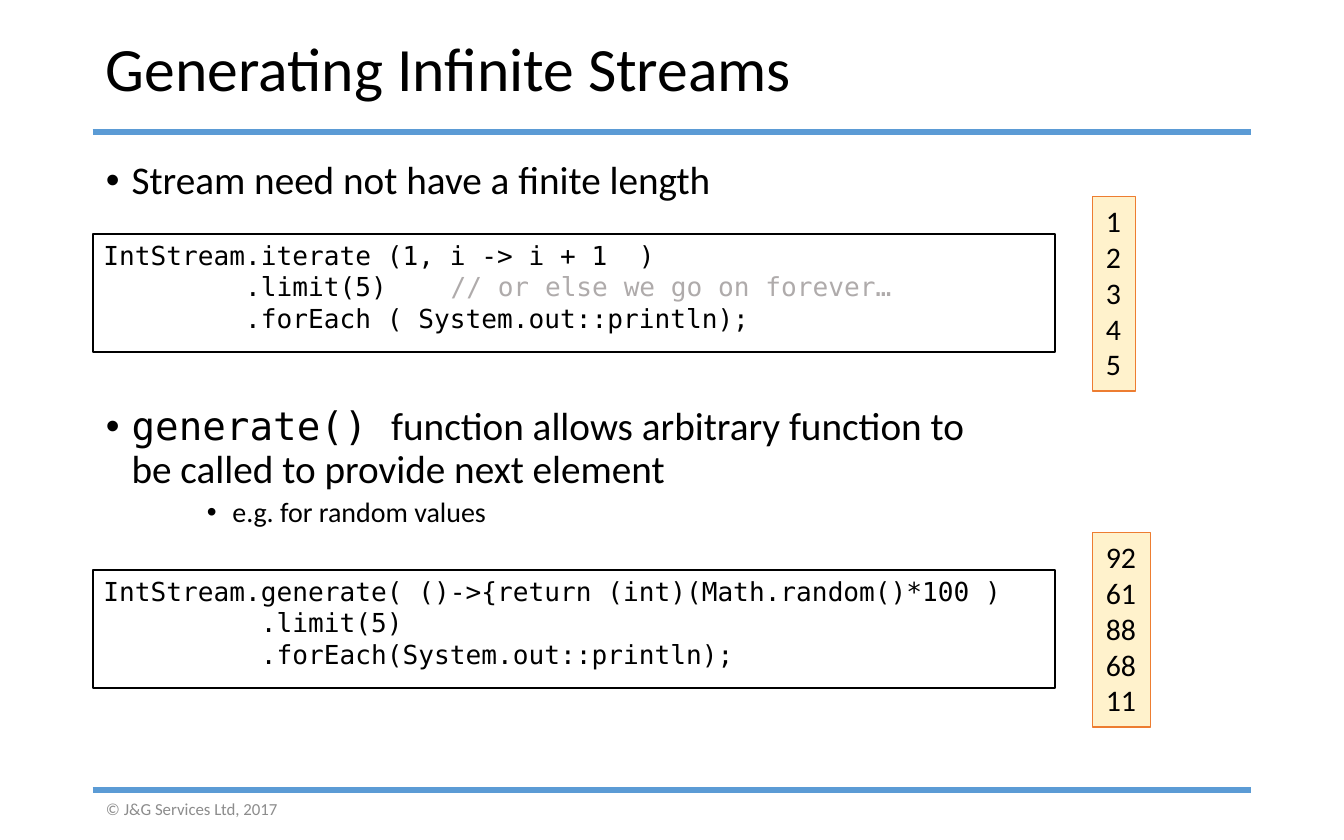
import dataclasses

import lxml.etree
import pptx
import pptx.dml.color
import pptx.enum.shapes
import pptx.enum.text
import pptx.oxml.ns
import pptx.util

PX = 9144


@dataclasses.dataclass(frozen=True)
class Theme:
    """Colours, typefaces and type sizes of the slide."""
    text: str = "000000"
    footer: str = "8C8C8C"
    comment: str = "AFABAB"
    rule: str = "5B9BD5"
    code_fill: str = "FFFFFF"
    output_fill: str = "FFF2CC"
    output_line: str = "ED7D31"
    body_face: str = "Calibri"
    code_face: str = "DejaVu Sans Mono"
    title_size: int = 33
    bullet_size: int = 21
    detail_size: int = 15
    code_size: int = 14
    output_size: int = 16
    footer_size: int = 9


THEME = Theme()


def emu(*lengths):
    """Turn px lengths into EMU."""
    return [length * PX for length in lengths]


def rgb(colour):
    """Return a colour object for a hex string."""
    return pptx.dml.color.RGBColor.from_string(colour)


def style(font, size, face, colour=THEME.text):
    """Set the size, typeface and colour of a font."""
    font.size = pptx.util.Pt(size)
    font.name = face
    font.color.rgb = rgb(colour)


def add_rule(slide, left, top, width):
    """Draw a horizontal rule."""
    rule = slide.shapes.add_connector(
        pptx.enum.shapes.MSO_CONNECTOR.STRAIGHT, *emu(left, top, left + width, top))
    rule.line.color.rgb = rgb(THEME.rule)
    rule.line.width = pptx.util.Pt(3)
    lxml.etree.SubElement(rule._element.spPr, pptx.oxml.ns.qn("a:effectLst"))


def add_line_of_text(slide, box, wording, size, colour, spacing):
    """Place one vertically centred line of text."""
    frame = slide.shapes.add_textbox(*emu(*box)).text_frame
    frame.word_wrap = True
    frame.vertical_anchor = pptx.enum.text.MSO_ANCHOR.MIDDLE
    line = frame.paragraphs[0]
    line.text = wording
    line.line_spacing = spacing
    style(line.font, size, THEME.body_face, colour)


def format_bullet(paragraph, level, margin, size, space_before):
    """Give a paragraph its bullet, hanging indent, spacing and font."""
    properties = paragraph._p.get_or_add_pPr()
    properties.set("marL", str(margin * PX))
    properties.set("indent", str(-19 * PX))
    bullet_font = lxml.etree.SubElement(properties, pptx.oxml.ns.qn("a:buFont"))
    bullet_font.set("typeface", "Arial")
    bullet = lxml.etree.SubElement(properties, pptx.oxml.ns.qn("a:buChar"))
    bullet.set("char", "•")
    paragraph.level = level
    paragraph.line_spacing = 0.9
    paragraph.space_before = pptx.util.Pt(space_before)
    style(paragraph.font, size, THEME.body_face)


def add_bullets(slide, box):
    """Place the bullets, leaving room for the first code panel."""
    frame = slide.shapes.add_textbox(*emu(*box)).text_frame
    frame.word_wrap = True

    finite = frame.paragraphs[0]
    format_bullet(finite, 0, 19, THEME.bullet_size, 0)
    finite.text = "Stream need not have a finite length"

    generate = frame.add_paragraph()
    format_bullet(generate, 0, 19, THEME.bullet_size, 109)
    function_name = generate.add_run()
    function_name.text = "generate() "
    function_name.font.name = THEME.code_face
    generate.add_run().text = "function allows arbitrary function to "
    generate.add_line_break()
    generate.add_run().text = "be called to provide next element"

    example = frame.add_paragraph()
    format_bullet(example, 2, 94, THEME.detail_size, 3.8)
    example.text = "e.g. for random values"


def add_panel(slide, box, fill, line, line_width):
    """Draw a bordered rectangle and return its text frame."""
    panel = slide.shapes.add_shape(pptx.enum.shapes.MSO_SHAPE.RECTANGLE, *emu(*box))
    panel.shadow.inherit = False
    panel.fill.solid()
    panel.fill.fore_color.rgb = rgb(fill)
    panel.line.color.rgb = rgb(line)
    panel.line.width = pptx.util.Pt(line_width)
    panel.text_frame.vertical_anchor = pptx.enum.text.MSO_ANCHOR.TOP
    return panel.text_frame


def fill_lines(frame, lines, size, face):
    """Write left-aligned lines, greying any code comment."""
    for index, line in enumerate(lines):
        paragraph = frame.add_paragraph() if index else frame.paragraphs[0]
        paragraph.alignment = pptx.enum.text.PP_ALIGN.LEFT
        style(paragraph.font, size, face)
        statement, slashes, comment = line.partition("//")
        paragraph.add_run().text = statement
        if slashes:
            remark = paragraph.add_run()
            remark.text = slashes + comment
            remark.font.color.rgb = rgb(THEME.comment)


def add_code(slide, box, lines):
    """Place a code panel."""
    frame = add_panel(slide, box, THEME.code_fill, THEME.text, 1)
    frame.word_wrap = True
    frame.margin_left, frame.margin_top, frame.margin_right, frame.margin_bottom = emu(8, 4, 8, 12)
    fill_lines(frame, lines, THEME.code_size, THEME.code_face)


def add_output(slide, box, values):
    """Place the values that a code panel prints."""
    frame = add_panel(slide, box, THEME.output_fill, THEME.output_line, 0.75)
    frame.word_wrap = False
    fill_lines(frame, map(str, values), THEME.output_size, THEME.body_face)


def add_example(slide, left, top, lines, values, output_width):
    """Place a code panel with its output beside it."""
    add_code(slide, (left, top + 28, 716, 88), lines)
    add_output(slide, (left + 744, top, output_width, 145), values)


def build_slide(slide, left, width):
    """Place every region of the slide in the given column."""
    for top in (98, 588):
        add_rule(slide, left, top, width)
    add_line_of_text(slide, (left, 591, 225, 21), "© J&G Services Ltd, 2017",
                     THEME.footer_size, THEME.footer, 1.0)
    add_line_of_text(slide, (left, 18, width, 70), "Generating Infinite Streams",
                     THEME.title_size, THEME.text, 0.9)
    add_bullets(slide, (left, 115, width, 457))
    add_example(slide, left, 146, [
        "IntStream.iterate (1, i -> i + 1  )",
        "         .limit(5)    // or else we go on forever…",
        "         .forEach ( System.out::println);",
    ], range(1, 6), 32)
    add_example(slide, left, 396, [
        "IntStream.generate( ()->{return (int)(Math.random()*100 )",
        "          .limit(5)",
        "          .forEach(System.out::println);",
    ], [92, 61, 88, 68, 11], 43)


def main():
    """Build and save the presentation."""
    presentation = pptx.Presentation()
    presentation.slide_width, presentation.slide_height = emu(1000, 625)
    build_slide(presentation.slides.add_slide(presentation.slide_layouts[6]), 69, 862)
    presentation.save("out.pptx")


if __name__ == "__main__":
    main()
